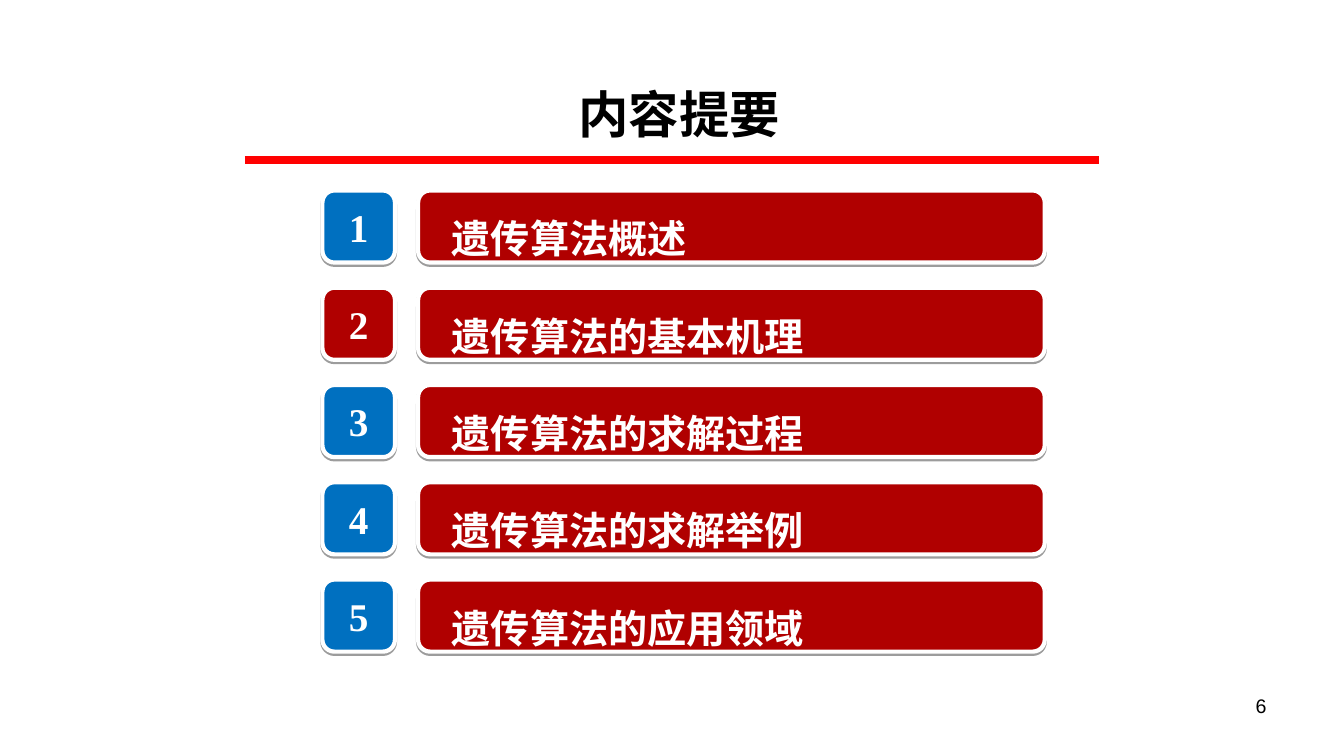
"""Build the contents slide with five numbered topic bars."""
from lxml.etree import SubElement
from pptx import Presentation
from pptx.dml.color import RGBColor
from pptx.enum.shapes import MSO_CONNECTOR, MSO_SHAPE
from pptx.enum.text import MSO_ANCHOR as ANCHOR, PP_ALIGN as ALIGN
from pptx.oxml.ns import qn
from pptx.util import Inches, Pt

TITLE = "内容提要"
TOPICS = ["遗传算法概述", "遗传算法的基本机理", "遗传算法的求解过程",
          "遗传算法的求解举例", "遗传算法的应用领域"]
CURRENT = 2
PAGE = "6"
COLORS = {"black": "000000", "white": "FFFFFF", "rule": "FF0000",
          "red": "B00000", "blue": "0070C0"}
CJK, SERIF, SANS = "Noto Sans CJK SC", "Times New Roman", "Arial"
TOP, PITCH, HEIGHT = 1.89, 0.965, 0.715
BADGE = {"left": 3.2, "width": 0.72}
BAR = {"left": 4.15, "width": 6.22}


def rgb(name):
    """Return a palette colour."""
    return RGBColor.from_string(COLORS[name])


def write(s, text, font, size, color, bold=True, indent=0.1,
          anchor=ANCHOR.MIDDLE, **layout):
    """Put one formatted line of text in a shape."""
    tf = s.text_frame
    frame = {"word_wrap": True, "vertical_anchor": anchor,
             "margin_left": Inches(indent), "margin_right": Inches(0.1),
             "margin_top": Inches(0.05), "margin_bottom": Inches(0.05)}
    for key, value in frame.items():
        setattr(tf, key, value)
    p = tf.paragraphs[0]
    for key, value in layout.items():
        setattr(p, key, value)
    r = p.add_run()
    r.text = text
    for key, value in {"name": font, "size": Pt(size), "bold": bold}.items():
        setattr(r.font, key, value)
    r.font.color.rgb = rgb(color)
    SubElement(r.font._element, qn("a:ea"), typeface=font)


def add_box(slide, top, place, fill):
    """Add a white-edged rounded box with a soft lower shadow."""
    s = slide.shapes.add_shape(
        MSO_SHAPE.ROUNDED_RECTANGLE, Inches(place["left"]), Inches(top),
        Inches(place["width"]), Inches(HEIGHT))
    s.fill.solid()
    s.fill.fore_color.rgb = rgb(fill)
    s.line.color.rgb = rgb("white")
    s.line.width = Pt(3)
    s.shadow.inherit = False
    effects = s._element.spPr.find(qn("a:effectLst"))
    shadow = SubElement(effects, qn("a:outerShdw"), blurRad="0",
                        dist=str(Pt(1.6)), dir="5400000", rotWithShape="0")
    color = SubElement(shadow, qn("a:srgbClr"), val=COLORS["black"])
    SubElement(color, qn("a:alpha"), val="38000")
    return s


def main():
    """Create and save the slide."""
    prs = Presentation()
    prs.slide_width, prs.slide_height = Inches(13.34), Inches(7.5)
    slide = prs.slides.add_slide(prs.slide_layouts[5])

    title = slide.shapes.title
    place = {"left": 5.22, "top": 0.77, "width": 2.97, "height": 0.7}
    for key, value in place.items():
        setattr(title, key, Inches(value))
    write(title, TITLE, CJK, 36, "black", indent=0.52, alignment=ALIGN.LEFT)

    rule = slide.shapes.add_connector(
        MSO_CONNECTOR.STRAIGHT, Inches(2.43), Inches(1.59),
        Inches(10.91), Inches(1.59))
    rule.line.color.rgb = rgb("rule")
    rule.line.width = Pt(6)
    SubElement(rule._element.spPr, qn("a:effectLst"))

    for number, topic in enumerate(TOPICS, 1):
        top = TOP + (number - 1) * PITCH
        bar = add_box(slide, top, BAR, "red")
        write(bar, topic, CJK, 28, "white", indent=0.3,
              alignment=ALIGN.LEFT, line_spacing=1.5)
        fill = "red" if number == CURRENT else "blue"
        badge = add_box(slide, top, BADGE, fill)
        write(badge, str(number), SERIF, 28, "white", alignment=ALIGN.CENTER)

    page = slide.shapes.add_textbox(
        Inches(9.56), Inches(6.83), Inches(3.11), Inches(0.52))
    write(page, PAGE, SANS, 14, "black", bold=False, anchor=ANCHOR.TOP,
          alignment=ALIGN.RIGHT)
    prs.save("out.pptx")


if __name__ == "__main__":
    main()
